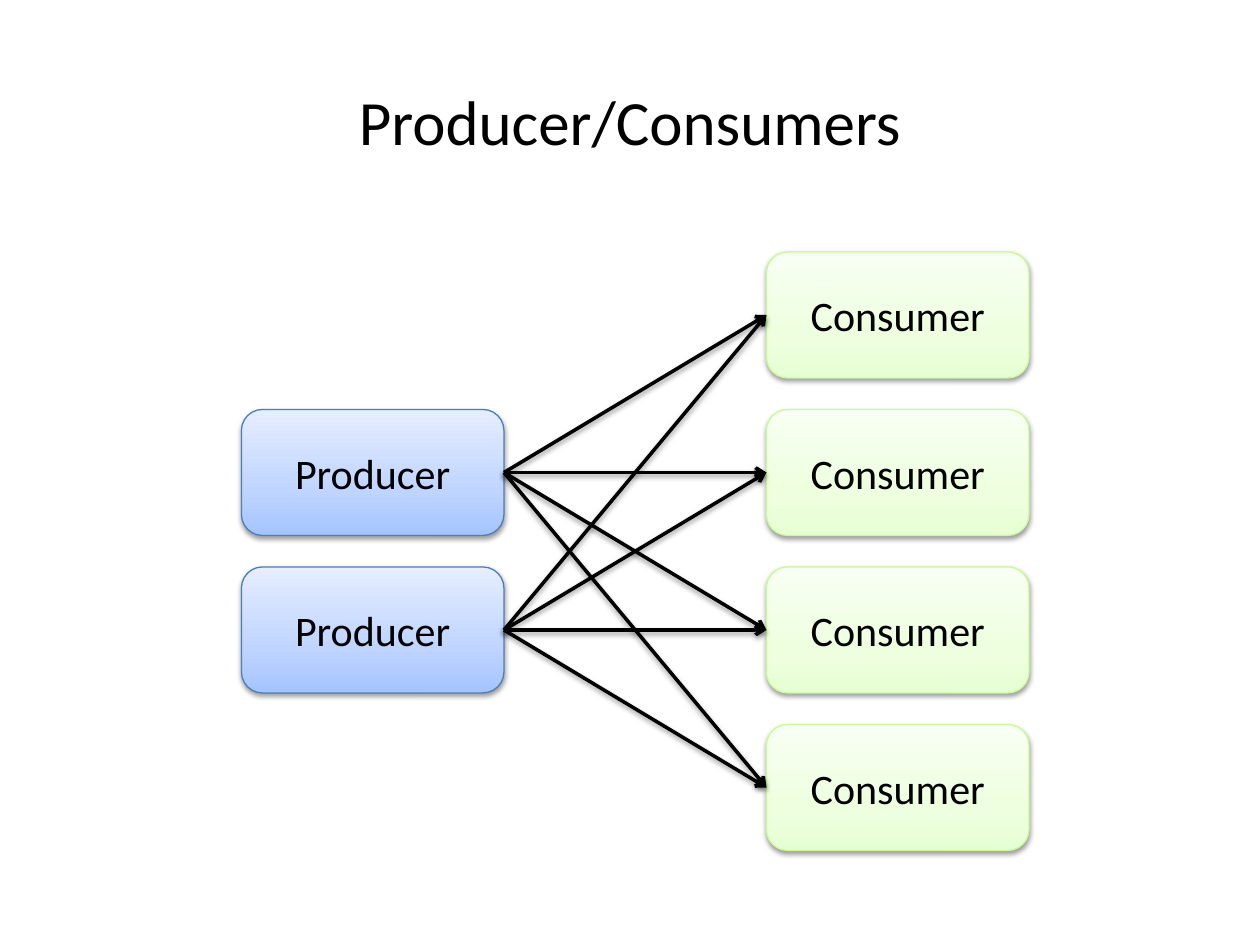
from copy import deepcopy

from pptx import Presentation
from pptx.dml.color import RGBColor
from pptx.enum.shapes import MSO_CONNECTOR, MSO_SHAPE
from pptx.enum.text import MSO_ANCHOR, PP_ALIGN
from pptx.oxml import parse_xml
from pptx.oxml.ns import nsdecls, qn
from pptx.util import Pt

PX = 9525  # 96 px to the inch
ROUNDED = MSO_SHAPE.ROUNDED_RECTANGLE
STRAIGHT = MSO_CONNECTOR.STRAIGHT
MIDDLE = MSO_ANCHOR.MIDDLE
CENTER = PP_ALIGN.CENTER
LEFT_SITE, RIGHT_SITE = 1, 3

BLACK = RGBColor(0x00, 0x00, 0x00)
BLUE_EDGE = RGBColor(0x4B, 0x7E, 0xBC)
BLUES = [RGBColor(0xA4, 0xC4, 0xFF), RGBColor(0xBF, 0xD4, 0xFF), RGBColor(0xE6, 0xEE, 0xFF)]
GREEN_EDGE = RGBColor(0xC8, 0xFC, 0x93)
GREENS = [RGBColor(0xE7, 0xFF, 0xD4), RGBColor(0xEE, 0xFF, 0xE0), RGBColor(0xF8, 0xFF, 0xF3)]
STOPS = [0, 0.35, 1]

BOX_W, BOX_H, PITCH = 200, 96, 120
SHADOW = (
    f'<a:effectLst {nsdecls("a")}>'
    f'<a:outerShdw blurRad="{Pt(3.1)}" dist="{Pt(1.6)}" dir="5400000" rotWithShape="0">'
    '<a:srgbClr val="000000"><a:alpha val="38000"/></a:srgbClr>'
    '</a:outerShdw></a:effectLst>'
)
ARROWHEAD = f'<a:tailEnd {nsdecls("a")} type="arrow"/>'


def write(box, text, size, color=BLACK, font="Calibri"):
    frame = box.text_frame
    frame.word_wrap = True
    frame.vertical_anchor = MIDDLE
    para = frame.paragraphs[0]
    para.alignment = CENTER
    span = para.add_run()
    span.text = text
    span.font.name = font
    span.font.size = Pt(size)
    span.font.color.rgb = color


deck = Presentation()
deck.slide_width = 960 * PX
deck.slide_height = 720 * PX
page = deck.slides.add_slide(deck.slide_layouts[6])

title = page.shapes.add_textbox(0, 56 * PX, 960 * PX, 72 * PX)
write(title, "Producer/Consumers", size=36)

# Each column: label, left, top, number of boxes, gradient, edge
columns = [
    ("Producer", 184, 312, 2, BLUES, BLUE_EDGE),
    ("Consumer", 584, 192, 4, GREENS, GREEN_EDGE),
]
boxes = {}
for label, left, top, count, shades, edge in columns:
    boxes[label] = []
    for row in range(count):
        box = page.shapes.add_shape(
            ROUNDED, left * PX, (top + row * PITCH) * PX, BOX_W * PX, BOX_H * PX)
        box.fill.gradient()
        box.fill.gradient_angle = 90
        stop_list = box._element.spPr.find(qn("a:gradFill")).find(qn("a:gsLst"))
        stop_list.append(deepcopy(stop_list[0]))
        for stop, position, shade in zip(box.fill.gradient_stops, STOPS, shades):
            stop.position = position
            stop.color.rgb = shade
        box.line.color.rgb = edge
        box.line.width = Pt(0.75)
        box._element.spPr.append(parse_xml(SHADOW))
        write(box, label, size=24)
        boxes[label].append(box)

for producer in boxes["Producer"]:
    for consumer in boxes["Consumer"]:
        arrow = page.shapes.add_connector(STRAIGHT, 0, 0, 0, 0)
        arrow.begin_connect(producer, RIGHT_SITE)
        arrow.end_connect(consumer, LEFT_SITE)
        arrow.line.color.rgb = BLACK
        arrow.line.width = Pt(2)
        arrow.line._get_or_add_ln().append(parse_xml(ARROWHEAD))
        arrow._element.spPr.append(parse_xml(SHADOW))

deck.save("out.pptx")
